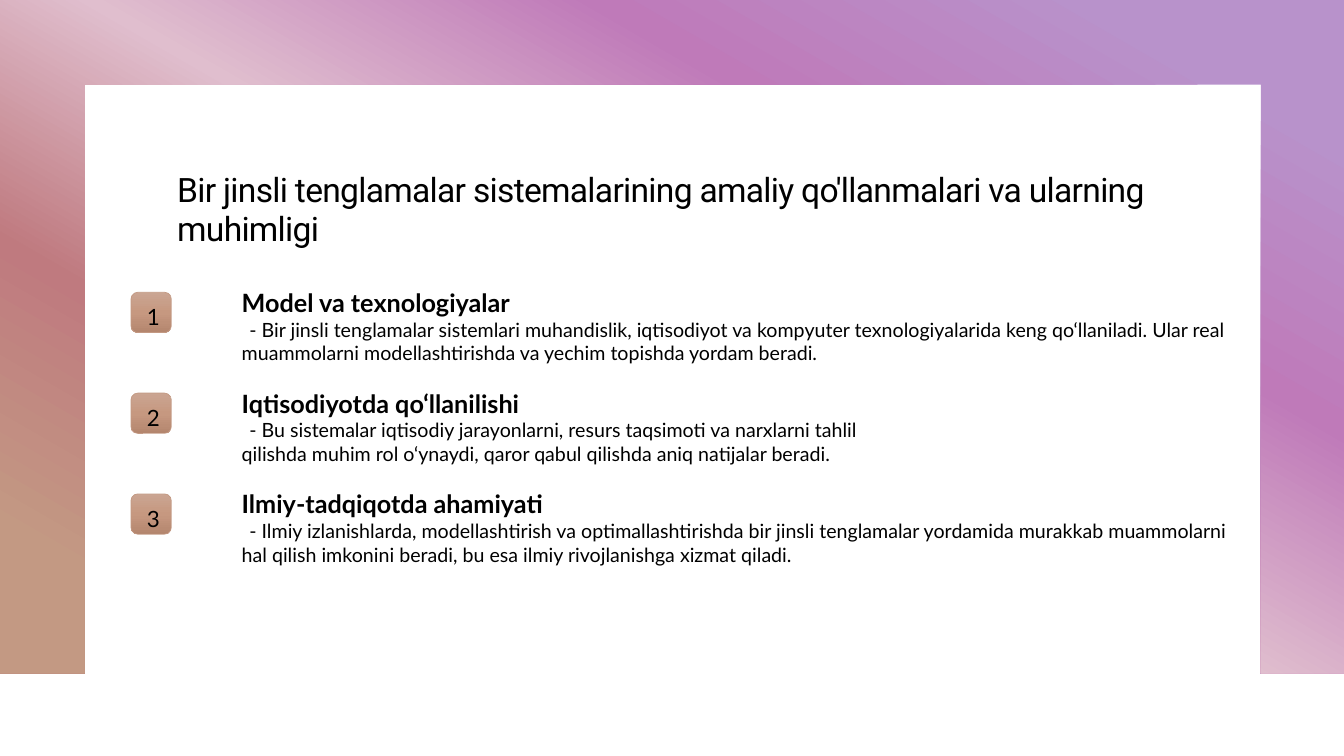
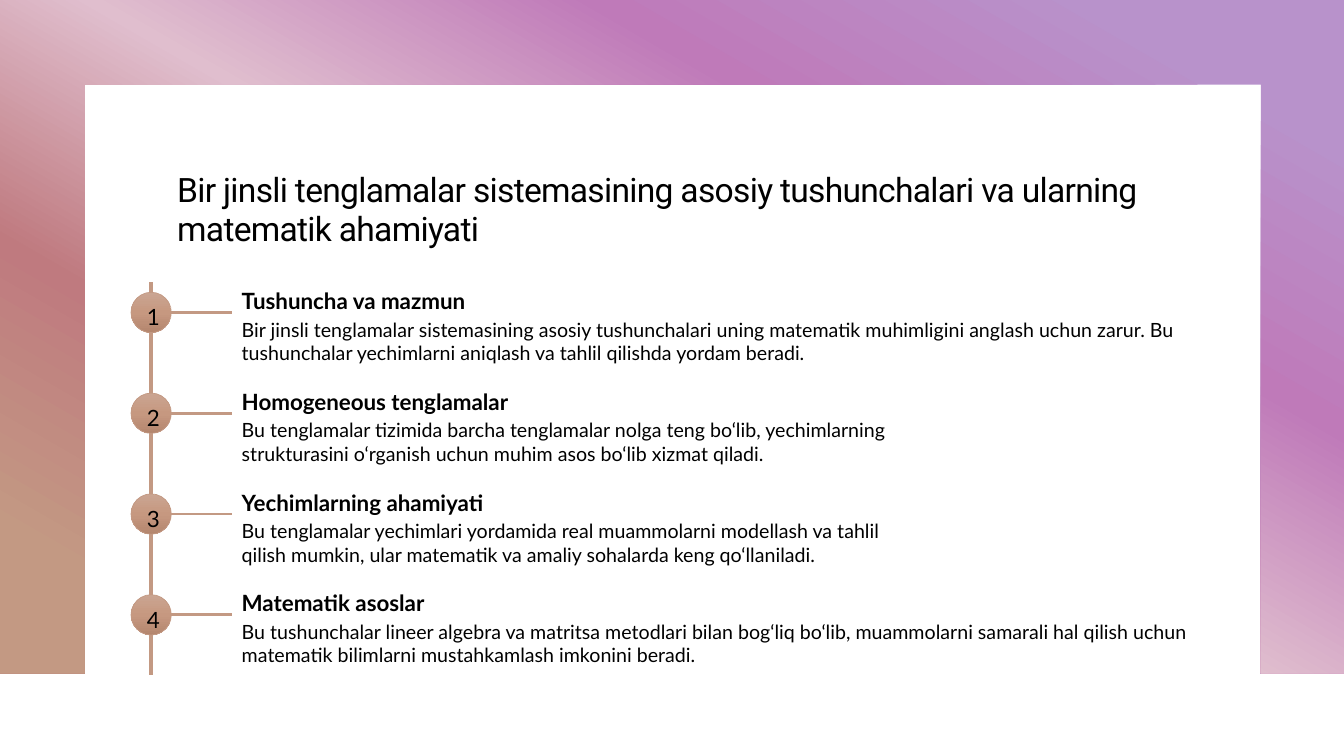
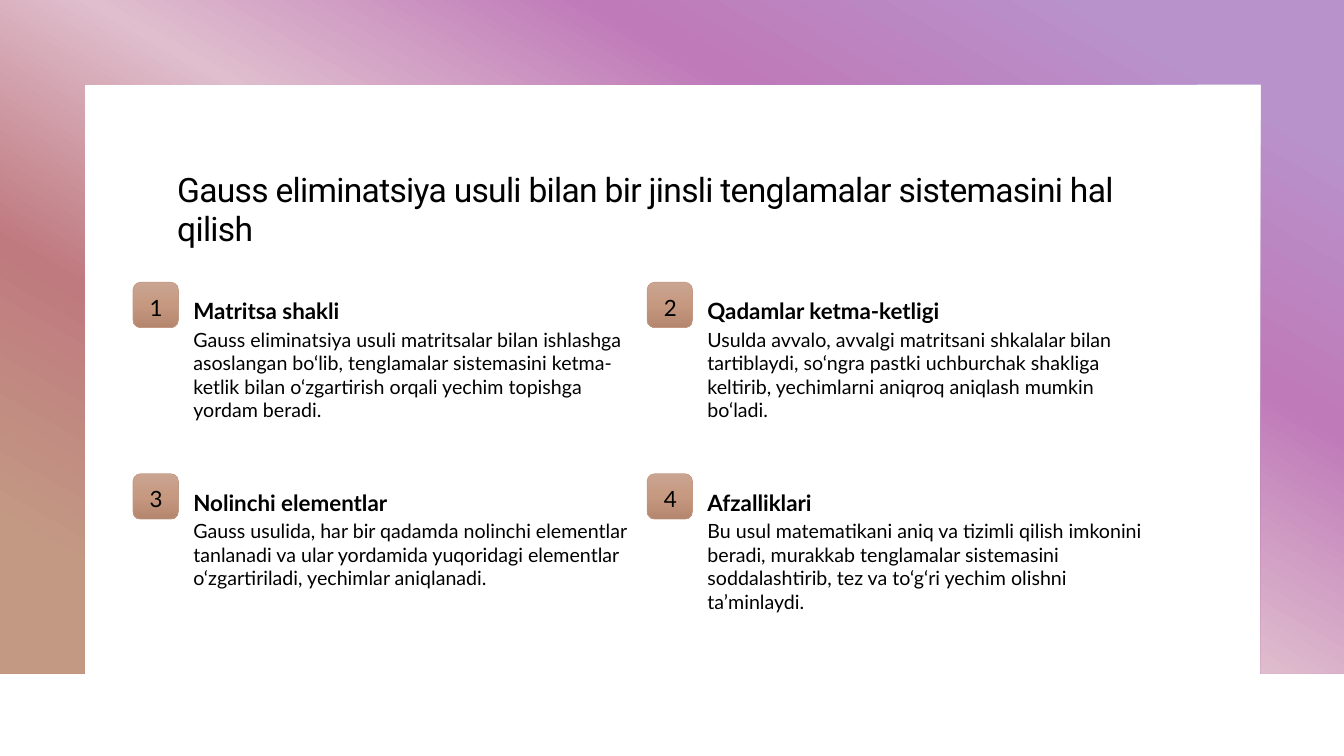
from lxml.etree import SubElement as Sub
from pptx import Presentation
from pptx.dml.color import RGBColor as RGB
from pptx.enum.shapes import MSO_CONNECTOR as Link, MSO_SHAPE as Kind
from pptx.enum.text import MSO_AUTO_SIZE as Fit
from pptx.oxml.ns import qn
from pptx.util import Inches, Pt


class Theme:
    ink = "000000"
    tan = "C39983"
    frame = [(10, "B892CB"), (30, "BF7AB9"), (50, "E0BECE"), (70, "BF7A7F"), (90, tan)]
    badge = [(0, "CAA592"), (50, "C69880"), (100, "B4866E")]
    head, text = "Roboto", "Lato"
    title, big, mid, small = 24, 18, 16, 14
    rim, branch, spine = 0.5, 2, 3


def grid(*cells):
    return [Inches(cell / 10) for cell in cells]


def paint(shape, stops, angle):
    shape.shadow.inherit = False
    shape.fill.gradient()
    shape.fill.gradient_angle = 360 - angle
    ramp = shape.element.spPr.find(qn("a:gradFill")).find(qn("a:gsLst"))
    ramp.clear()
    for place, color in stops:
        stop = Sub(ramp, qn("a:gs"), pos=str(place * 1000))
        Sub(stop, qn("a:srgbClr"), val=color)


decks = [
    dict(
        title="Bir jinsli tenglamalar sistemalarining amaliy qo'llanmalari va ularning muhimligi",
        kind=Kind.ROUNDED_RECTANGLE, badge=(13, 29), side=4, text=(23, 28),
        cols=1, step=(0, 10), size=Theme.big, indent=5.4, tree=False,
        items=[
            ("Model va texnologiyalar", 100,
             "- Bir jinsli tenglamalar sistemlari muhandislik, iqtisodiyot va kompyuter texnologiyalarida keng qo‘llaniladi. Ular real muammolarni modellashtirishda va yechim topishda yordam beradi."),
            ("Iqtisodiyotda qo‘llanilishi", 70,
             "- Bu sistemalar iqtisodiy jarayonlarni, resurs taqsimoti va narxlarni tahlil qilishda muhim rol o‘ynaydi, qaror qabul qilishda aniq natijalar beradi."),
            ("Ilmiy-tadqiqotda ahamiyati", 100,
             "- Ilmiy izlanishlarda, modellashtirish va optimallashtirishda bir jinsli tenglamalar yordamida murakkab muammolarni hal qilish imkonini beradi, bu esa ilmiy rivojlanishga xizmat qiladi."),
        ]),
    dict(
        title="Bir jinsli tenglamalar sistemasining asosiy tushunchalari va ularning matematik ahamiyati",
        kind=Kind.OVAL, badge=(13, 29), side=4, text=(23, 28),
        cols=1, step=(0, 10), size=Theme.mid, indent=0, tree=True,
        items=[
            ("Tushuncha va mazmun", 100,
             "Bir jinsli tenglamalar sistemasining asosiy tushunchalari uning matematik muhimligini anglash uchun zarur. Bu tushunchalar yechimlarni aniqlash va tahlil qilishda yordam beradi."),
            ("Homogeneous tenglamalar", 70,
             "Bu tenglamalar tizimida barcha tenglamalar nolga teng bo‘lib, yechimlarning strukturasini o‘rganish uchun muhim asos bo‘lib xizmat qiladi."),
            ("Yechimlarning ahamiyati", 70,
             "Bu tenglamalar yechimlari yordamida real muammolarni modellash va tahlil qilish mumkin, ular matematik va amaliy sohalarda keng qo‘llaniladi."),
            ("Matematik asoslar", 100,
             "Bu tushunchalar lineer algebra va matritsa metodlari bilan bog‘liq bo‘lib, muammolarni samarali hal qilish uchun matematik bilimlarni mustahkamlash imkonini beradi."),
        ]),
    dict(
        title="Gauss eliminatsiya usuli bilan bir jinsli tenglamalar sistemasini hal qilish",
        kind=Kind.ROUNDED_RECTANGLE, badge=(13.2, 28), side=4.5, text=(18.2, 29),
        cols=2, step=(51, 19), size=Theme.mid, indent=0, tree=False,
        items=[
            ("Matritsa shakli", 46,
             "Gauss eliminatsiya usuli matritsalar bilan ishlashga asoslangan bo‘lib, tenglamalar sistemasini ketma-ketlik bilan o‘zgartirish orqali yechim topishga yordam beradi."),
            ("Qadamlar ketma-ketligi", 46,
             "Usulda avvalo, avvalgi matritsani shkalalar bilan tartiblaydi, so‘ngra pastki uchburchak shakliga keltirib, yechimlarni aniqroq aniqlash mumkin bo‘ladi."),
            ("Nolinchi elementlar", 46,
             "Gauss usulida, har bir qadamda nolinchi elementlar tanlanadi va ular yordamida yuqoridagi elementlar o‘zgartiriladi, yechimlar aniqlanadi."),
            ("Afzalliklari", 46,
             "Bu usul matematikani aniq va tizimli qilish imkonini beradi, murakkab tenglamalar sistemasini soddalashtirib, tez va to‘g‘ri yechim olishni ta’minlaydi."),
        ]),
]

deck = Presentation()
deck.slide_width, deck.slide_height = grid(133.33, 75)
blank = deck.slide_layouts[6]

for page in decks:
    slide = deck.slides.add_slide(blank)
    shapes = slide.shapes

    if page is decks[0]:
        right, foot, edge = 133.33, 66.8, 8.4
        inner = 125.1
        path = shapes.build_freeform(0, 0)
        path.add_line_segments([grid(*spot) for spot in [
            (right, 0), (right, foot), (inner, foot), (inner, edge),
            (edge, edge), (edge, foot), (0, foot)]])
        frame = path.convert_to_shape()
        paint(frame, Theme.frame, 120)
        frame.line.fill.background()
        blank.shapes.element.append(frame.element)

    side, lines, marks = page["side"], [], []
    words = [((16.6, 16.6, 100, 14.7), page["title"], Theme.head, Theme.title, False, 0)]
    if page["tree"]:
        lines.append(((15, 28, 15, 67), Theme.spine))
    for num, (head, wide, body) in enumerate(page["items"]):
        row, col = divmod(num, page["cols"])
        dx, dy = col * page["step"][0], row * page["step"][1]
        left, top = page["badge"][0] + dx, page["badge"][1] + dy
        x, y = page["text"][0] + dx, page["text"][1] + dy
        pad, mid = side * 0.15, side / 2
        if page["tree"]:
            lines.append(((left + mid, top + mid, x, top + mid), Theme.branch))
        marks.append((left, top, side, side))
        words += [
            ((left + pad, top + pad, side - 2 * pad, side - 2 * pad),
             str(num + 1), Theme.text, Theme.mid, False, 0),
            ((x, y, min(wide, 70), 3), head, Theme.text, page["size"], True, 0),
            ((x, y + 3, wide, 10), body, Theme.text, Theme.small, False, page["indent"]),
        ]

    for ends, width in lines:
        line = shapes.add_connector(Link.STRAIGHT, *grid(*ends))
        line.line.color.rgb = RGB.from_string(Theme.tan)
        line.line.width = Pt(width)
        Sub(line.element.spPr, qn("a:effectLst"))

    for area in marks:
        mark = shapes.add_shape(page["kind"], *grid(*area))
        paint(mark, Theme.badge, 90)
        mark.line.color.rgb = RGB.from_string(Theme.tan)
        mark.line.width = Pt(Theme.rim)

    for area, text, face, size, bold, indent in words:
        box = shapes.add_textbox(*grid(*area)).text_frame
        box.word_wrap = True
        para = box.paragraphs[0]
        para.text = text
        font = para.font
        font.name, font.size, font.bold = face, Pt(size), bold
        font.color.rgb = RGB.from_string(Theme.ink)
        props = para._p.get_or_add_pPr()
        if indent:
            props.set("marL", "0")
            props.set("indent", str(Pt(indent)))
        if face == Theme.head:
            para.line_spacing = 0.95
            props.find(qn("a:defRPr")).set("spc", "-50")
        else:
            box.auto_size = Fit.SHAPE_TO_FIT_TEXT

deck.save("out.pptx")
